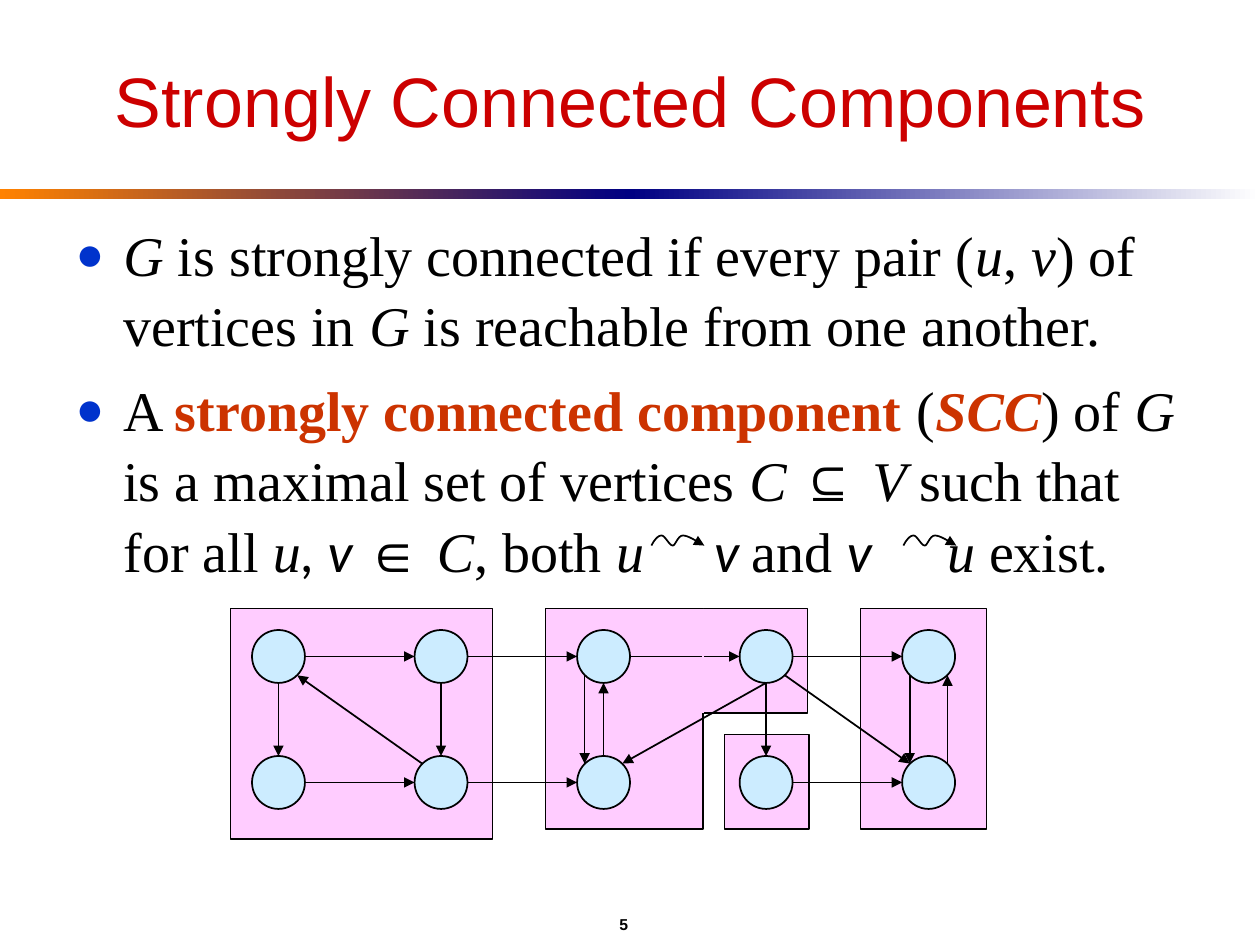
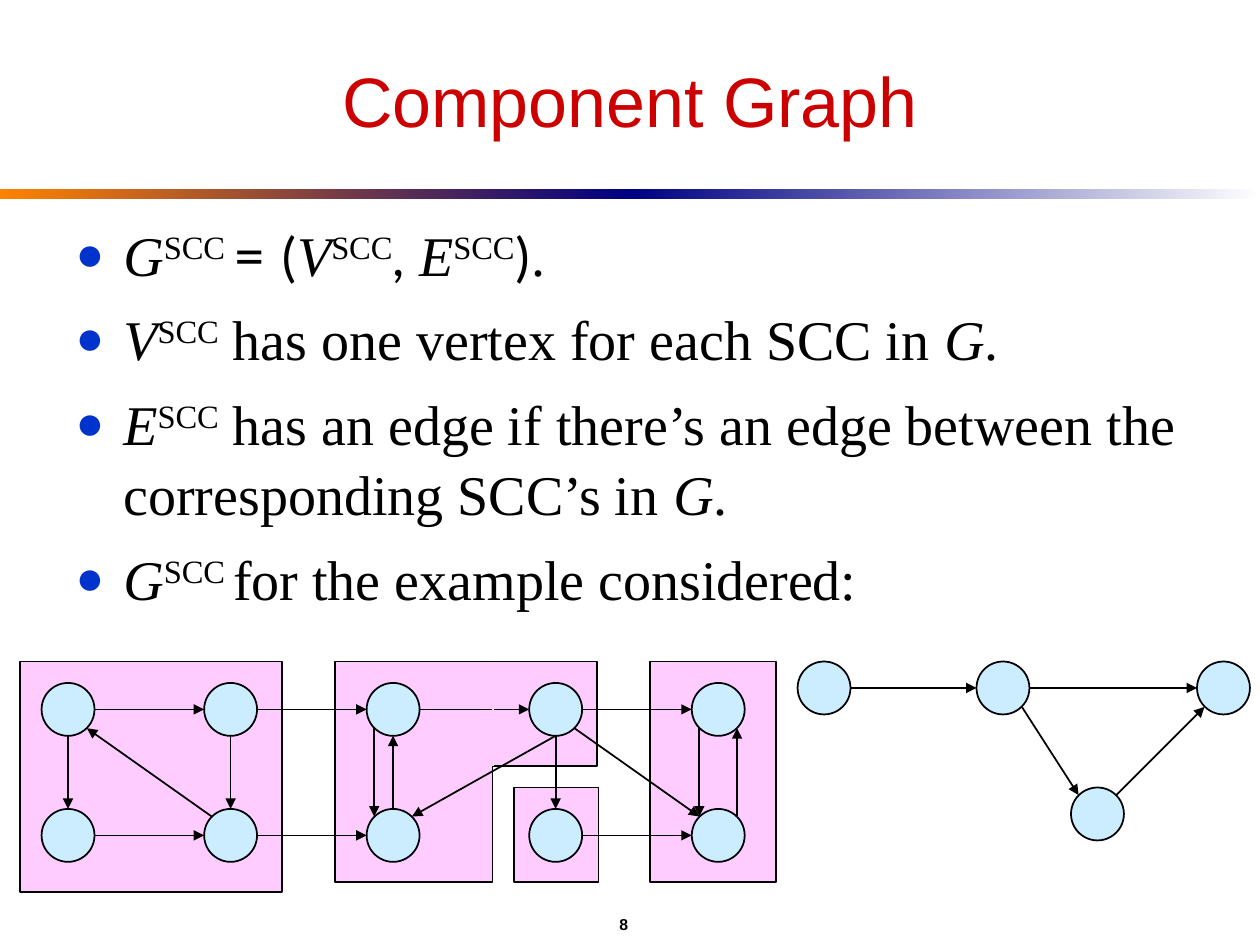
import lxml.etree
import pptx
import pptx.dml.color
import pptx.enum.shapes
import pptx.enum.text
import pptx.oxml.ns
import pptx.util

RGB = pptx.dml.color.RGBColor
BLACK = RGB(0x00, 0x00, 0x00)
WHITE = RGB(0xFF, 0xFF, 0xFF)
TITLE_RED = RGB(0xCC, 0x00, 0x00)
TERM_ORANGE = RGB(0xCC, 0x33, 0x00)
BULLET_BLUE = RGB(0x00, 0x33, 0xCC)
BAND_ORANGE = RGB(0xFF, 0x82, 0x00)
BAND_NAVY = RGB(0x00, 0x00, 0x82)
COMPONENT_PINK = RGB(0xFF, 0xCC, 0xFF)
VERTEX_BLUE = RGB(0xCC, 0xEC, 0xFF)

SHAPE = pptx.enum.shapes.MSO_SHAPE
ALIGN = pptx.enum.text.PP_ALIGN
ANCHOR = pptx.enum.text.MSO_ANCHOR

# Run styles: keyword arguments of Deck.run
PLAIN = {}
ITALIC = {"italic": True}
SUPER = {"baseline": 30}
TERM = {"bold": True, "color": TERM_ORANGE}
SYMBOL = {"font": "Arial"}
SANS = {"font": "Calibri"}
SANS_ITALIC = {"font": "Calibri", "italic": True}

RADIUS = 0.21
DIAGONAL = 0.15
SIDES = {
    "n": (0, -RADIUS), "s": (0, RADIUS), "e": (RADIUS, 0), "w": (-RADIUS, 0),
    "ne": (DIAGONAL, -DIAGONAL), "nw": (-DIAGONAL, -DIAGONAL),
    "se": (DIAGONAL, DIAGONAL), "sw": (-DIAGONAL, DIAGONAL),
}

# The example graph, measured from the centre of vertex a
COLUMN_PITCH, ROW_PITCH = 1.29, 1
EXAMPLE_VERTICES = {
    name: (col * COLUMN_PITCH, row * ROW_PITCH)
    for row, names in enumerate(("abcde", "fghij"))
    for col, name in enumerate(names)
}
EXAMPLE_EDGES = """a.e-b.w a.s-f.n b.s-g.n f.e-g.w g.nw-a.se c.e-d.w d.s-h.ne
    h.n-c.s c.sw-h.nw d.s-i.n e.sw-j.nw j.ne-e.se d.e-e.w d.se-j.nw i.e-j.w
    b.e-c.w g.e-h.w"""
COMPONENT_BOXES = [
    (3.54, 0.62, 0.67, 0.75),
    (4.62, -0.38, 1, 1.75),
    (3.37, -0.38, 0.83, 0.83),
    (2.12, -0.38, 1.25, 1.75),
    (-0.38, -0.38, 2.08, 1.83),
]
SEAM = ((3.37, -0.38), (3.37, 0.45))

COMPONENT_VERTICES = {"p": (0, 0), "q": (1.42, 0), "r": (3.17, 0), "s": (2.17, 1)}
COMPONENT_EDGES = "p.e-q.w q.e-r.w q.se-s.nw s.ne-r.sw"

SQUIGGLE = [
    ((0, 0.08), (0.02, 0.04), (0.05, 0), (0.08, 0)),
    ((0.08, 0), (0.11, 0), (0.14, 0.08), (0.17, 0.08)),
    ((0.17, 0.08), (0.19, 0.08), (0.21, 0), (0.25, 0)),
    ((0.25, 0), (0.29, 0), (0.35, 0.04), (0.42, 0.08)),
]
CURVE_STEPS = 8


def gap(points):
    """Style of a single space widened by the given points."""
    return {"italic": True, "spacing": points}


def inches(*values):
    return [pptx.util.Inches(v) for v in values]


def shift(origin, offset):
    return origin[0] + offset[0], origin[1] + offset[1]


def bezier(points, t):
    weights = ((1 - t) ** 3, 3 * t * (1 - t) ** 2, 3 * t * t * (1 - t), t ** 3)
    return tuple(sum(w * p[axis] for w, p in zip(weights, points)) for axis in (0, 1))


def add_xml(parent, tag, **attributes):
    return lxml.etree.SubElement(parent, pptx.oxml.ns.qn(tag), attributes)


class Deck:
    def __init__(self):
        self.prs = pptx.Presentation()
        self.prs.slide_width, self.prs.slide_height = inches(10, 7.5)

    def new_slide(self, title, number):
        self.s = self.prs.slides.add_slide(self.prs.slide_layouts[1])
        self.shapes = self.s.shapes
        self.band(0, BAND_ORANGE, BAND_NAVY)
        self.band(5, BAND_NAVY, WHITE)
        tf = self.placeholder(self.s.shapes.title, 0.25, 1.08)
        tf.vertical_anchor = ANCHOR.MIDDLE
        p = tf.paragraphs[0]
        p.alignment = ALIGN.CENTER
        self.run(p, title, font="Arial", size=40, color=TITLE_RED)
        self.slide_number(number)

    def placeholder(self, sp, top, height):
        sp.left, sp.top, sp.width, sp.height = inches(0.5, top, 9, height)
        tf = sp.text_frame
        tf.word_wrap = True
        tf.auto_size = pptx.enum.text.MSO_AUTO_SIZE.NONE
        return tf

    def run(self, p, text, font="Times New Roman", size=32, color=BLACK,
            bold=False, italic=False, baseline=0, spacing=0):
        r = p.add_run()
        r.text = text
        r.font.name, r.font.size = font, pptx.util.Pt(size)
        r.font.bold, r.font.italic = bold, italic
        r.font.color.rgb = color
        rPr = r._r.get_or_add_rPr()
        if baseline:
            rPr.set("baseline", str(baseline * 1000))
        if spacing:
            rPr.set("spc", str(spacing * 100))

    def slide_number(self, number):
        tf = self.s.shapes.add_textbox(*inches(4.45, 7.17, 1, 0.33)).text_frame
        tf.word_wrap = True
        tf.vertical_anchor = ANCHOR.MIDDLE
        p = tf.paragraphs[0]
        p.alignment = ALIGN.CENTER
        self.run(p, str(number), font="Arial", size=9, bold=True)

    def bullets(self, items):
        tf = self.placeholder(self.s.placeholders[1], 1.67, 4.75)
        for i, runs in enumerate(items):
            p = tf.add_paragraph() if i else tf.paragraphs[0]
            p.space_before = pptx.util.Pt(8)
            p.line_spacing = 1.05
            pPr = p._p.get_or_add_pPr()
            indent = pptx.util.Inches(0.38)
            pPr.set("marL", str(indent))
            pPr.set("indent", str(-indent))
            add_xml(add_xml(pPr, "a:buClr"), "a:srgbClr", val=str(BULLET_BLUE))
            add_xml(pPr, "a:buSzPct", val="85000")
            add_xml(pPr, "a:buChar", char="●")
            for text, style in runs:
                self.run(p, text, **style)

    def band(self, left, start, end):
        sp = self.shapes.add_shape(SHAPE.RECTANGLE, *inches(left, 1.5, 5, 0.08))
        sp.shadow.inherit = False
        sp.line.fill.background()
        sp.fill.gradient()
        sp.fill.gradient_angle = 0
        for stop, color, position in zip(sp.fill.gradient_stops, (start, end), (0, 1)):
            stop.color.rgb, stop.position = color, position

    def outline(self, sp, color=BLACK, arrow=False):
        sp.line.color.rgb = color
        sp.line.width = pptx.util.Pt(1)
        if arrow:
            add_xml(sp.line._get_or_add_ln(), "a:tailEnd", type="triangle")

    def box(self, kind, color, left, top, width, height):
        sp = self.shapes.add_shape(kind, *inches(left, top, width, height))
        sp.shadow.inherit = False
        sp.fill.solid()
        sp.fill.fore_color.rgb = color
        self.outline(sp)

    def line(self, start, end, color=BLACK, arrow=True):
        straight = pptx.enum.shapes.MSO_CONNECTOR.STRAIGHT
        sp = self.shapes.add_connector(straight, *inches(*start, *end))
        self.outline(sp, color, arrow)
        add_xml(sp._element.spPr, "a:effectLst")

    def squiggle(self, left, top):
        """Draw the wavy arrow that stands for "reaches"."""
        points = [SQUIGGLE[0][0]] + [
            bezier(curve, step / CURVE_STEPS)
            for curve in SQUIGGLE for step in range(1, CURVE_STEPS + 1)
        ]
        start, *rest = [inches(*shift((left, top), pt)) for pt in points]
        builder = self.s.shapes.build_freeform(*start)
        builder.add_line_segments(rest, close=False)
        sp = builder.convert_to_shape()
        sp.shadow.inherit = False
        sp.fill.background()
        self.outline(sp, arrow=True)

    def graph(self, origin, vertices, edges):
        """Draw circles and the arrows between their named sides."""
        centres = {name: shift(origin, at) for name, at in vertices.items()}
        for x, y in centres.values():
            self.box(SHAPE.OVAL, VERTEX_BLUE, x - RADIUS, y - RADIUS, 2 * RADIUS, 2 * RADIUS)
        for edge in edges.split():
            ends = [end.split(".") for end in edge.split("-")]
            self.line(*(shift(centres[name], SIDES[side]) for name, side in ends))

    def example_graph(self, origin):
        self.shapes = self.s.shapes.add_group_shape().shapes
        for left, top, width, height in COMPONENT_BOXES:
            self.box(SHAPE.RECTANGLE, COMPONENT_PINK,
                     *shift(origin, (left, top)), width, height)
        self.graph(origin, EXAMPLE_VERTICES, EXAMPLE_EDGES)
        self.line(*(shift(origin, end) for end in SEAM), COMPONENT_PINK, arrow=False)

    def component_graph(self, origin):
        self.shapes = self.s.shapes.add_group_shape().shapes
        self.graph(origin, COMPONENT_VERTICES, COMPONENT_EDGES)


def components_slide(deck):
    deck.new_slide("Strongly Connected Components", 5)
    deck.bullets([
        [("G", ITALIC), (" is strongly connected if every pair (", PLAIN),
         ("u", ITALIC), (", ", PLAIN), ("v", ITALIC), (") of vertices in ", PLAIN),
         ("G ", ITALIC), ("is reachable from one another.", PLAIN)],
        [("A ", PLAIN), ("strongly connected component ", TERM), ("(", PLAIN),
         ("SCC", {**TERM, **ITALIC}), (") of ", PLAIN), ("G ", ITALIC),
         ("is a maximal set of vertices ", PLAIN), ("C ", ITALIC), ("⊆ ", SYMBOL),
         ("V ", ITALIC), ("such that for all ", PLAIN), ("u", ITALIC),
         (", v ", SANS_ITALIC), ("∈ ", SYMBOL), ("C", ITALIC), (", both ", PLAIN),
         ("u", ITALIC), (" ", gap(32)), ("v ", SANS_ITALIC), ("and ", PLAIN),
         ("v", SANS_ITALIC), (" ", gap(35)), ("u", ITALIC), (" exist.", PLAIN)],
    ])
    for left in (5.17, 7.17):
        deck.squiggle(left, 4.25)
    deck.example_graph((2.21, 5.21))


def component_graph_slide(deck):
    deck.new_slide("Component Graph", 8)
    deck.bullets([
        [("G", ITALIC), ("SCC ", SUPER), ("= ", {"font": "Lato"}), ("(", SANS),
         ("V", ITALIC), ("SCC", SUPER), (", ", SANS_ITALIC), ("E", ITALIC),
         ("SCC", SUPER), (")", SANS), (".", PLAIN)],
        [("V", ITALIC), ("SCC", SUPER), (" has one vertex for each SCC in ", PLAIN),
         ("G", ITALIC), (".", PLAIN)],
        [("E", ITALIC), ("SCC", SUPER),
         (" has an edge if there’s an edge between the corresponding SCC’s in ", PLAIN),
         ("G", ITALIC), (".", PLAIN)],
        [("G", ITALIC), ("SCC ", SUPER), ("for the example considered:", PLAIN)],
    ])
    deck.component_graph((6.54, 5.46))
    deck.example_graph((0.54, 5.63))


def main():
    deck = Deck()
    components_slide(deck)
    component_graph_slide(deck)
    deck.prs.save("out.pptx")


if __name__ == "__main__":
    main()
